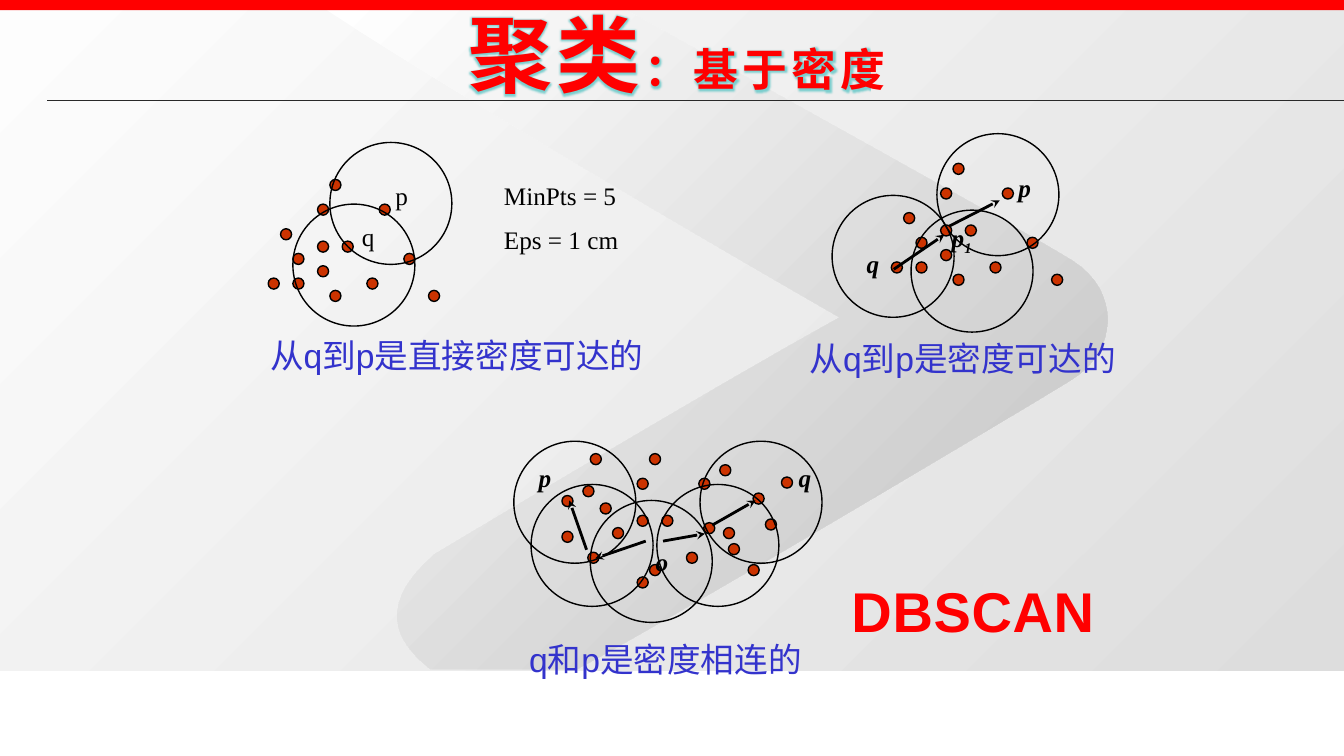
from dataclasses import dataclass, field

from lxml import etree
from pptx import Presentation
from pptx.dml.color import RGBColor
from pptx.enum.shapes import MSO_CONNECTOR, MSO_SHAPE
from pptx.enum.text import MSO_ANCHOR, MSO_AUTO_SIZE, PP_ALIGN
from pptx.oxml import parse_xml
from pptx.oxml.ns import nsdecls, qn
from pptx.util import Inches, Pt

OVAL, RECTANGLE = MSO_SHAPE.OVAL, MSO_SHAPE.RECTANGLE
STRAIGHT = MSO_CONNECTOR.STRAIGHT
LEFT, CENTER = PP_ALIGN.LEFT, PP_ALIGN.CENTER
WIDTH, HEIGHT = 13.33, 7.5

CELL = 1.59 / 13   # spacing of the point grid
DOT, RING = 0.11, 1.21


@dataclass(frozen=True)
class Theme:
    red: str = "FF0000"
    dot: str = "CC3300"
    caption: str = "3333CC"
    black: str = "000000"
    rule: str = "292929"
    title_edge: str = "FFF4F4"
    title_glow: str = "7CCFCF"
    backdrop: tuple = ("FDFDFD", "DDDDDD")
    chevron: tuple = ("FFFFFF", "C0C0C0")
    title_font: str = "Noto Sans CJK SC"
    sans: str = "Arial"
    serif: str = "Times New Roman"
    title_size: int = 60
    subtitle_size: int = 32
    method_size: int = 40
    caption_size: int = 24
    label_size: int = 18


THEME = Theme()


@dataclass
class Cluster:
    """Parts of one diagram, in grid cells from its origin."""
    dots: list
    rings: list
    labels: list  # column, row, text, subscript
    arrows: list = field(default_factory=list)  # tail column, row, tip column, row
    emphasis: bool = True


SHARED_DOTS = [(1, 4), (4, 5), (4, 2), (0, 8), (2, 6), (5, 9),
               (5, 0), (11, 6), (9, 2), (6, 5), (8, 8), (13, 9)]
REACHABLE_DOTS = SHARED_DOTS + [(2, 8), (4, 7)]

DIRECT = Cluster(
    dots=REACHABLE_DOTS,
    rings=[(5, -3), (2, 2)],
    labels=[(9.5, -0.3, "p", ""), (6.8, 3, "q", "")],
    emphasis=False)
REACHABLE = Cluster(
    dots=REACHABLE_DOTS,
    rings=[(1.6, 3.8), (-4.8, 2.6), (3.7, -2.4)],
    labels=[(9.5, 0.3, "p", ""), (-2.8, 6.5, "q", ""), (4.1, 4.4, "p", "1")],
    arrows=[(4.7, 5.1, 8.8, 3), (0.2, 8.6, 4.3, 5.8)])
CONNECTED = Cluster(
    dots=SHARED_DOTS + [
        (4, 10), (-2.1, 6.3), (14.4, 5.3), (9.4, 5.6), (11.4, 7.3), (15.7, 1.9),
        (10.7, 0.9), (13.4, 3.2), (-0.4, 2.6), (-2.1, 3.4), (0.2, 0)],
    rings=[(-4.6, 2.5), (0.2, 3.8), (5.6, 2.5), (9.1, -1), (-6, -1)],
    labels=[(-4.8, 0.3, "p", ""), (16.3, 0.3, "q", ""), (4.7, 7.1, "o", "")],
    arrows=[(4.7, 7.1, 0.6, 8.5), (6.1, 7.1, 9.5, 6.5),
            (-0.1, 7.8, -1.5, 3.8), (10.1, 5.8, 13.6, 3.8)])


def color(value):
    return RGBColor.from_string(value)


def fill_gradient(shape, stops):
    shape.shadow.inherit = False
    shape.fill.gradient()
    shape.fill.gradient_angle = 315
    for stop, value in zip(shape.fill.gradient_stops, stops):
        stop.color.rgb = color(value)
    shape.line.fill.background()


def add_preset(slide, preset, box, fill=None, line=None):
    shape = slide.shapes.add_shape(preset, *map(Inches, box))
    shape.shadow.inherit = False
    if fill:
        shape.fill.solid()
        shape.fill.fore_color.rgb = color(fill)
    else:
        shape.fill.background()
    if line:
        shape.line.color.rgb = color(line)
        shape.line.width = Pt(1)
    else:
        shape.line.fill.background()
    return shape


def add_line(slide, start, end, value, width, arrow=False):
    line = slide.shapes.add_connector(STRAIGHT, *map(Inches, (*start, *end)))
    line.line.color.rgb = color(value)
    line.line.width = Pt(width)
    if arrow:
        etree.SubElement(line.line._get_or_add_ln(), qn("a:tailEnd"), type="stealth")
    etree.SubElement(line.element.spPr, qn("a:effectLst"))


def add_run(paragraph, text, font, size, value, bold=False, italic=False):
    run = paragraph.add_run()
    run.text = text
    run.font.size, run.font.name = Pt(size), font
    run.font.bold, run.font.italic = bold, italic
    run.font.color.rgb = color(value)
    properties = run.font._element
    etree.SubElement(properties, qn("a:ea"), typeface=font)
    return properties


def add_text(slide, box, wrap=True):
    frame = slide.shapes.add_textbox(*map(Inches, box)).text_frame
    frame.word_wrap = wrap
    return frame


def draw_backdrop(slide, box):
    left, top, width, height = box
    panel = add_preset(slide, RECTANGLE, (left, top + 0.08, width, 6.57))
    fill_gradient(panel, THEME.backdrop)
    # Rounded chevron: each row is two control points and an end point
    start = (10.64, 3.76)
    curves = [((10.19, 4.04), (6.56, 6.2), (5.72, 6.64)),
              ((5.24, 6.64), (4.75, 6.64), (4.27, 6.64)),
              ((4.04, 6.45), (3.64, 6.08), (4.31, 5.5)),
              ((6.27, 4.33), (7.5, 3.61), (8.33, 3.15)),
              ((5.79, 1.69), (3.89, 0.53), (3.24, 0.1)),
              ((4.73, 0.08), (6.21, 0.1), (6.21, 0.1)),
              ((7.19, 0.65), (10.18, 2.3), (10.64, 2.59)),
              ((11.11, 2.89), (11.09, 3.47), start)]
    points, current = [], start
    for first, second, end in curves:
        for step in range(1, 17):
            t = step / 16
            points.append(tuple(
                Inches((1 - t) ** 3 * a + 3 * (1 - t) ** 2 * t * b + 3 * (1 - t) * t ** 2 * c + t ** 3 * d)
                for a, b, c, d in zip(current, first, second, end)))
        current = end
    builder = slide.shapes.build_freeform(*map(Inches, start))
    builder.add_line_segments(points, close=True)
    fill_gradient(builder.convert_to_shape(Inches(left), Inches(top)), THEME.chevron)
    # Top bar and title rule
    add_preset(slide, RECTANGLE, (left, top, width, 0.1), THEME.red)
    add_line(slide, (left + 0.47, top + 1), (left + width, top + 1), THEME.rule, 1)


def draw_title(slide, box):
    title = slide.shapes.title
    title.left, title.top, title.width, title.height = map(Inches, box)
    slide.shapes.element.append(title.element)  # in front of the backdrop
    frame = title.text_frame
    frame.auto_size, frame.vertical_anchor = MSO_AUTO_SIZE.NONE, MSO_ANCHOR.MIDDLE
    frame.word_wrap = True
    paragraph = frame.paragraphs[0]
    paragraph.alignment = CENTER
    for text, size in (("聚类", THEME.title_size), ("：基于密度", THEME.subtitle_size)):
        properties = add_run(paragraph, text, THEME.title_font, size, THEME.red, bold=True)
        properties.set("spc", "300")
        properties.insert(0, parse_xml(
            f'<a:ln {nsdecls("a")} w="11430"><a:solidFill>'
            f'<a:srgbClr val="{THEME.title_edge}"/></a:solidFill></a:ln>'))
        properties.insert(2, parse_xml(
            f'<a:effectLst {nsdecls("a")}><a:glow rad="45500">'
            f'<a:srgbClr val="{THEME.title_glow}"/></a:glow></a:effectLst>'))


def draw_cluster(slide, origin, cluster):
    def place(column, row):
        return origin[0] + column * CELL, origin[1] + row * CELL

    for dot in cluster.dots:
        add_preset(slide, OVAL, (*place(*dot), DOT, DOT), THEME.dot, THEME.black)
    for ring in cluster.rings:
        add_preset(slide, OVAL, (*place(*ring), RING, RING), line=THEME.black)
    for column, row, text, subscript in cluster.labels:
        width = 0.67 if subscript else 0.42
        paragraph = add_text(slide, (*place(column, row), width, 0.4)).paragraphs[0]
        style = (THEME.serif, THEME.label_size, THEME.black, cluster.emphasis, cluster.emphasis)
        add_run(paragraph, text, *style)
        if subscript:
            add_run(paragraph, subscript, *style).set("baseline", "-25000")
    for column, row, tip_column, tip_row in cluster.arrows:
        add_line(slide, place(column, row), place(tip_column, tip_row), THEME.black, 2, arrow=True)


def draw_parameters(slide, box):
    frame = add_text(slide, box)
    first, second = frame.paragraphs[0], frame.add_paragraph()
    second.space_before = Pt(10)
    for paragraph, text in ((first, "MinPts = 5"), (second, "Eps = 1 cm")):
        add_run(paragraph, text, THEME.serif, THEME.label_size, THEME.black)


def draw_caption(slide, box, text):
    paragraph = add_text(slide, box).paragraphs[0]
    paragraph.alignment = LEFT
    add_run(paragraph, text, THEME.sans, THEME.caption_size, THEME.caption)


def draw_method(slide, box):
    paragraph = add_text(slide, box, wrap=False).paragraphs[0]
    paragraph.alignment = CENTER
    add_run(paragraph, "DBSCAN", THEME.sans, THEME.method_size, THEME.red, bold=True).set("spc", "50")


def main():
    presentation = Presentation()
    presentation.slide_width, presentation.slide_height = Inches(WIDTH), Inches(HEIGHT)
    slide = presentation.slides.add_slide(presentation.slide_layouts[5])
    draw_backdrop(slide, (0, 0, WIDTH, HEIGHT))
    draw_title(slide, (3.51, -0.03, 6.41, 1.11))
    draw_cluster(slide, (2.66, 1.78), DIRECT)
    draw_parameters(slide, (4.9, 1.74, 2, 0.86))
    draw_cluster(slide, (8.84, 1.62), REACHABLE)
    draw_cluster(slide, (5.83, 4.5), CONNECTED)
    draw_caption(slide, (2.58, 3.27, 3.94, 0.5), "从q到p是直接密度可达的")
    draw_caption(slide, (7.93, 3.3, 3.27, 0.5), "从q到p是密度可达的")
    draw_caption(slide, (5.15, 6.29, 2.93, 0.5), "q和p是密度相连的")
    draw_method(slide, (8.33, 5.67, 2.64, 0.77))
    presentation.save("out.pptx")


if __name__ == "__main__":
    main()
